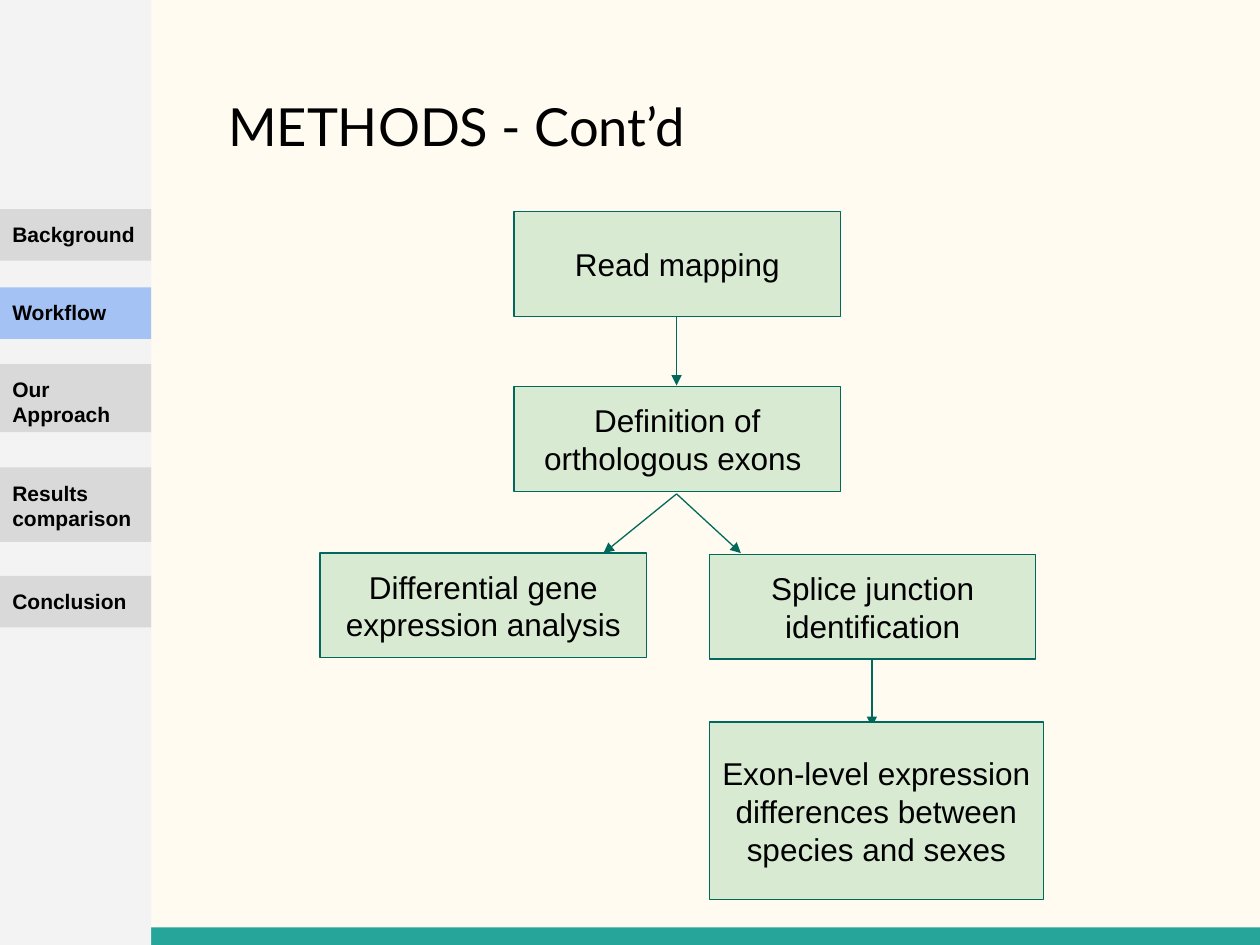
from lxml import etree
from pptx import Presentation
from pptx.dml.color import RGBColor
from pptx.enum import shapes, text
from pptx.oxml import ns
from pptx.util import Inches, Pt


def paint(fmt, color):
    fmt.solid()
    fmt.fore_color.rgb = RGBColor.from_string(color)


def block(kind, pos, color, words="", size=12, bold=False, edge=None):
    box = slide.shapes.add_shape(kind, *map(Inches, pos))
    box.shadow.inherit = False
    paint(box.fill, color)
    if edge:
        paint(box.line.fill, edge)
        box.line.width = Pt(0.75)
    else:
        box.line.fill.background()
    if words:
        frame = box.text_frame
        frame.word_wrap = True
        frame.margin_left = frame.margin_right = Inches(0.1)
        frame.margin_top = frame.margin_bottom = Inches(0.1)
        mid = edge is not None
        frame.vertical_anchor = text.MSO_ANCHOR.MIDDLE if mid else text.MSO_ANCHOR.TOP
        para = frame.paragraphs[0]
        para.text = words
        para.alignment = text.PP_ALIGN.CENTER if mid else text.PP_ALIGN.LEFT
        para.font.name = "Arial"
        para.font.size = Pt(size)
        para.font.bold = bold
        paint(para.font.fill, "000000")


RECT = shapes.MSO_SHAPE.RECTANGLE
STEP = shapes.MSO_SHAPE.FLOWCHART_PROCESS
GREEN = "00695C"

deck = Presentation()
deck.slide_width, deck.slide_height = Inches(10), Inches(7.5)
slide = deck.slides.add_slide(deck.slide_layouts[5])
paint(slide.background.fill, "FFFBF0")

block(RECT, (0, 7.36, 10, 0.14), "26A69A")

title = slide.shapes.title
title.left, title.top = Inches(1.71), Inches(0.65)
title.width, title.height = Inches(7.95), Inches(0.89)
frame = title.text_frame
frame.margin_left = frame.margin_right = Inches(0.1)
frame.margin_top = frame.margin_bottom = Inches(0.1)
frame.vertical_anchor = text.MSO_ANCHOR.TOP
frame.auto_size = text.MSO_AUTO_SIZE.NONE
head = frame.paragraphs[0]
head.text = "METHODS - Cont’d"
head.alignment = text.PP_ALIGN.LEFT
head.font.name = "Lato"
head.font.size = Pt(30)
paint(head.font.fill, "000000")

arrows = [
    (5.37, 2.52, 5.37, 3.06),
    (5.37, 3.92, 4.79, 4.39),
    (5.37, 3.92, 5.88, 4.39),
    (6.92, 5.24, 6.92, 5.77),
]
for ends in arrows:
    arrow = slide.shapes.add_connector(shapes.MSO_CONNECTOR.STRAIGHT, *map(Inches, ends))
    paint(arrow.line.fill, GREEN)
    arrow.line.width = Pt(0.75)
    tip = etree.SubElement(arrow.line._get_or_add_ln(), ns.qn("a:tailEnd"))
    tip.set("type", "triangle")
    etree.SubElement(arrow._element.spPr, ns.qn("a:effectLst"))

steps = [
    ("Read mapping", 4.08, 1.68, 2.59, 0.83),
    ("Definition of orthologous exons ", 4.08, 3.07, 2.59, 0.83),
    ("Differential gene expression analysis", 2.54, 4.39, 2.59, 0.83),
    ("Splice junction identification", 5.63, 4.4, 2.59, 0.83),
    ("Exon-level expression differences between species and sexes", 5.63, 5.73, 2.65, 1.41),
]
for words, *pos in steps:
    block(STEP, pos, "D9EAD3", words, 18, edge=GREEN)

block(RECT, (0, 0, 1.2, 7.5), "F3F3F3")
tabs = [
    ("Background", 1.66, 0.41),
    ("Workflow", 2.28, 0.41),
    ("Our Approach", 2.89, 0.54),
    ("Results comparison", 3.71, 0.59),
    ("Conclusion", 4.57, 0.41),
]
for words, top, tall in tabs:
    color = "A4C2F4" if words == "Workflow" else "D9D9D9"
    block(RECT, (0, top, 1.2, tall), color, words, bold=True)

deck.save("out.pptx")
